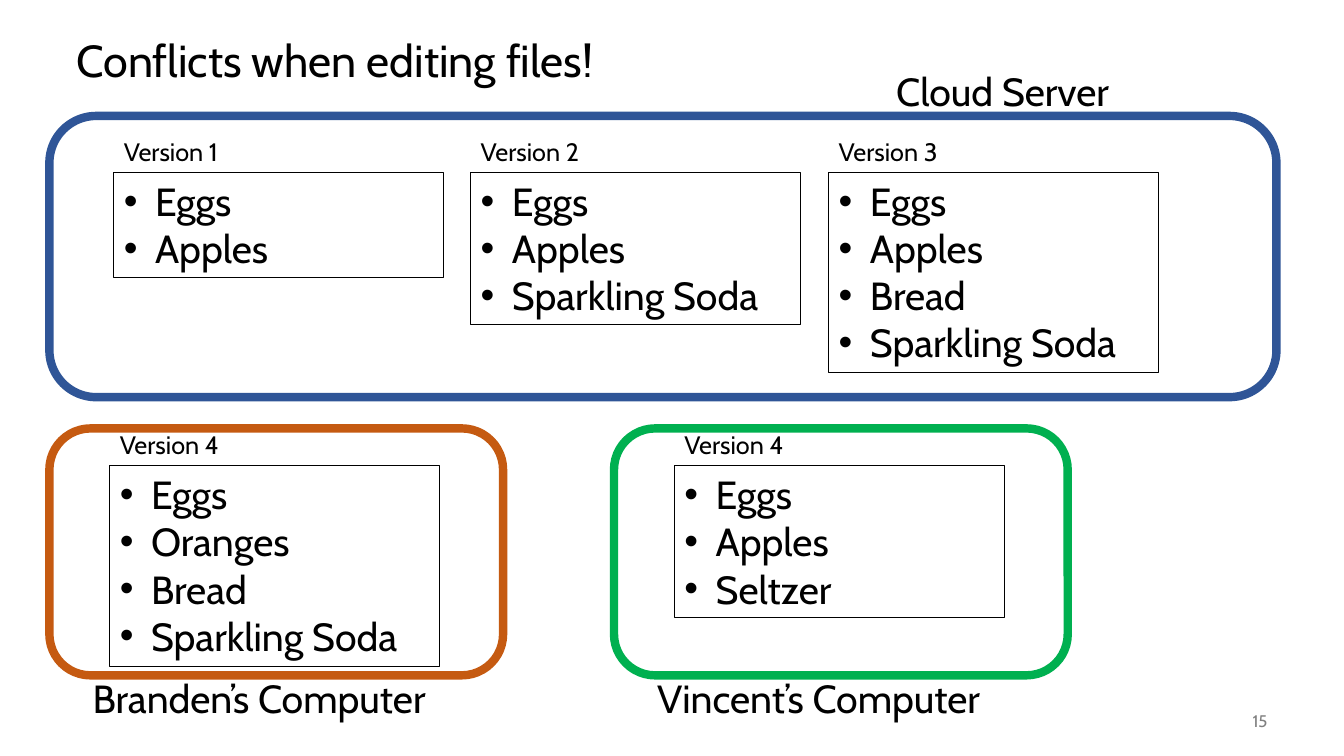
import pptx
import pptx.dml.color
import pptx.enum.shapes
import pptx.enum.text
import pptx.oxml.ns
import pptx.util
from lxml import etree

EMU_PER_PX = 9144
FONT = "Cabin"
COLORS = {
    "text": "000000",
    "number": "808080",
    "cloud": "2F5597",
    "branden": "C55A11",
    "vincent": "00B050",
}
LIST_WIDTH = 327
LABEL_HEIGHT = 41
BULLET_INDENT = 31
SHAPES = pptx.enum.shapes.MSO_SHAPE
ALIGN = pptx.enum.text.PP_ALIGN
ANCHOR = pptx.enum.text.MSO_ANCHOR
AUTO_SIZE = pptx.enum.text.MSO_AUTO_SIZE


def px(*lengths):
    """Turn whole pixel lengths into EMU."""
    return [pptx.util.Emu(length * EMU_PER_PX) for length in lengths]


def color(name):
    """Return the named colour."""
    return pptx.dml.color.RGBColor.from_string(COLORS[name])


def add_run(paragraph, text, size, color_name="text"):
    """Add one styled run to a paragraph."""
    run = paragraph.add_run()
    run.text = text
    run.font.name = FONT
    run.font.size = pptx.util.Pt(size)
    run.font.color.rgb = color(color_name)


def add_bullet(paragraph):
    """Give a paragraph a round bullet with a hanging indent."""
    properties = paragraph._p.get_or_add_pPr()
    indent = BULLET_INDENT * EMU_PER_PX
    properties.set("marL", str(indent))
    properties.set("indent", str(-indent))
    for tag, key, value in (("a:buFont", "typeface", "Arial"), ("a:buChar", "char", "•")):
        etree.SubElement(properties, pptx.oxml.ns.qn(tag)).set(key, value)


def add_text(slide, box, text, size, color_name="text", anchor=ANCHOR.TOP, align=ALIGN.LEFT):
    """Add a one-line text box and return its paragraph."""
    frame = slide.shapes.add_textbox(*px(*box)).text_frame
    frame.word_wrap = True
    frame.vertical_anchor = anchor
    if anchor == ANCHOR.TOP:
        frame.auto_size = AUTO_SIZE.SHAPE_TO_FIT_TEXT
    paragraph = frame.paragraphs[0]
    paragraph.alignment = align
    add_run(paragraph, text, size, color_name)
    return paragraph


def add_outline(slide, kind, box, color_name, width):
    """Add an unfilled shape with a coloured outline."""
    shape = slide.shapes.add_shape(kind, *px(*box))
    shape.shadow.inherit = False
    shape.fill.background()
    shape.line.color.rgb = color(color_name)
    shape.line.width = pptx.util.Pt(width)
    return shape


def add_machine(slide, box, color_name, name, name_box):
    """Add a rounded frame for a computer with its name."""
    add_outline(slide, SHAPES.ROUNDED_RECTANGLE, box, color_name, 6)
    add_text(slide, name_box, name, 28)


def add_version(slide, left, top, label, items):
    """Add a version label above its bulleted shopping list."""
    height = 9 + 95 * len(items) // 2
    box = (left, top + LABEL_HEIGHT, LIST_WIDTH, height)
    frame = add_outline(slide, SHAPES.RECTANGLE, box, "text", 0.75).text_frame
    frame.word_wrap = True
    frame.vertical_anchor = ANCHOR.TOP
    frame.auto_size = AUTO_SIZE.SHAPE_TO_FIT_TEXT
    for index, item in enumerate(items):
        paragraph = frame.add_paragraph() if index else frame.paragraphs[0]
        paragraph.alignment = ALIGN.LEFT
        add_bullet(paragraph)
        add_run(paragraph, item, 28)
    add_text(slide, (left, top, LIST_WIDTH, LABEL_HEIGHT), label, 18)


def main():
    """Build the slide about editing conflicts."""
    presentation = pptx.Presentation()
    presentation.slide_width, presentation.slide_height = px(1333, 750)
    slide = presentation.slides.add_slide(presentation.slide_layouts[6])

    title = add_text(slide, (66, 25, 1200, 75), "Conflicts when editing files!", 32,
                     anchor=ANCHOR.MIDDLE)
    title.line_spacing = 0.9
    add_text(slide, (1167, 695, 100, 40), "15", 12, "number", ANCHOR.MIDDLE, ALIGN.RIGHT)

    add_machine(slide, (49, 115, 1217, 279), "cloud", "Cloud Server", (879, 62, 269, 57))
    cloud_versions = [
        ["Eggs", "Apples"],
        ["Eggs", "Apples", "Sparkling Soda"],
        ["Eggs", "Apples", "Bread", "Sparkling Soda"],
    ]
    for index, items in enumerate(cloud_versions):
        add_version(slide, 113 + 709 * index // 2, 130, f"Version {index + 1}", items)

    computers = [
        (49, "branden", "Branden’s Computer", ["Eggs", "Oranges", "Bread", "Sparkling Soda"]),
        (609, "vincent", "Vincent’s Computer", ["Eggs", "Apples", "Seltzer"]),
    ]
    for left, color_name, name, items in computers:
        add_machine(slide, (left, 425, 450, 245), color_name, name, (left + 33, 664, 400, 57))
        add_version(slide, left + 60, 421, "Version 4", items)

    presentation.save("out.pptx")


if __name__ == "__main__":
    main()
